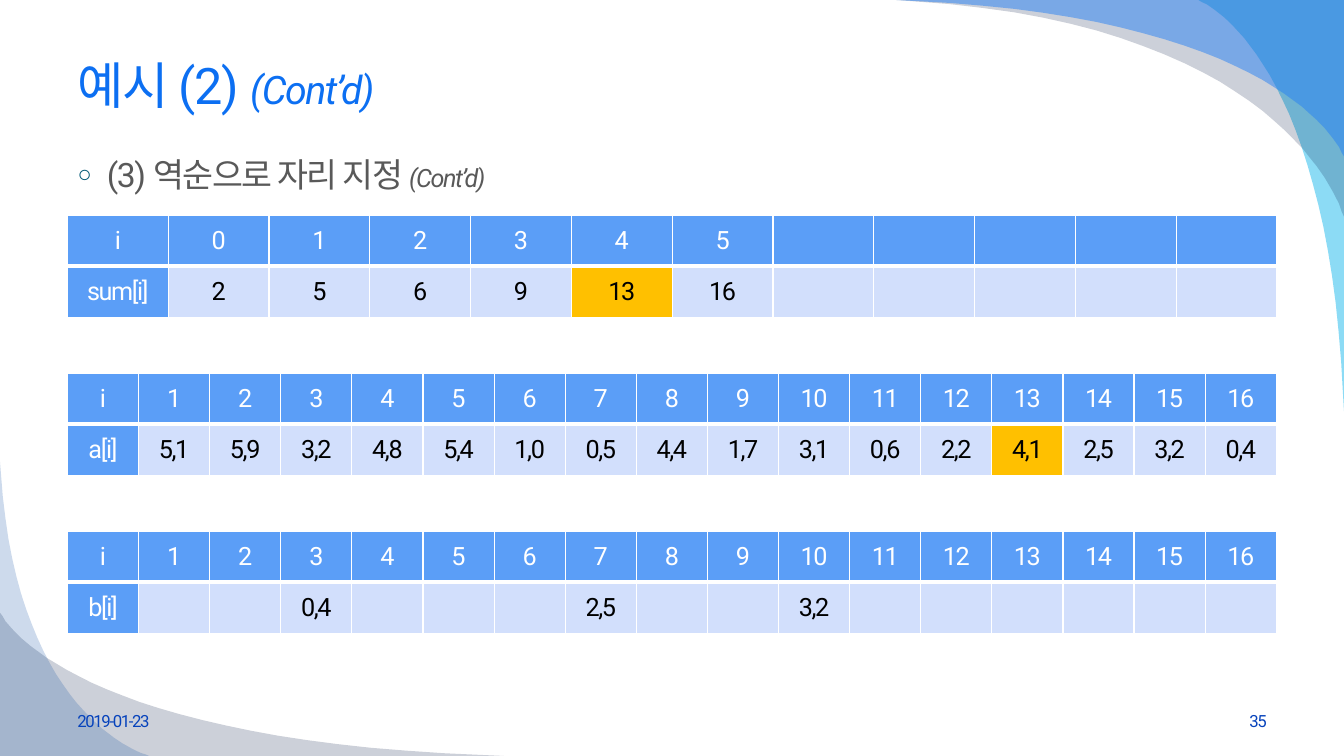
from dataclasses import dataclass

from lxml import etree
from pptx import Presentation
from pptx.dml.color import RGBColor
from pptx.enum.text import MSO_ANCHOR, MSO_AUTO_SIZE, PP_ALIGN
from pptx.oxml.ns import qn
from pptx.util import Cm, Pt

LEFT, CENTER, RIGHT = PP_ALIGN.LEFT, PP_ALIGN.CENTER, PP_ALIGN.RIGHT
TOP, MIDDLE = MSO_ANCHOR.TOP, MSO_ANCHOR.MIDDLE
NO_AUTOFIT = MSO_AUTO_SIZE.NONE
FONT = "Roboto"
COLORS = {
    "title": "0C6FF2", "body": "595959", "bullet": "005876", "footer": "0743BC",
    "white": "FFFFFF", "black": "000000",
    "header": "5B9EF7", "cell": "D2DFFC", "highlight": "FFC000",
    "cyan": "00B1E9", "navy": "021741", "blue": "247FF4", "royal": "084AA1",
}
# Swoosh edge: percent along and percent across its bounding box
EDGE = [
    (0, 0), (11.9, 1.9), (19.4, 3.7), (26.4, 5.7), (32.9, 8.2), (39, 11),
    (44.8, 14.1), (50.2, 17.6), (55.2, 21.3), (59.9, 25.1), (64.4, 29.2),
    (68.5, 33.4), (72.3, 37.7), (75.7, 42.2), (78.8, 46.5), (81.8, 51.1),
    (84.2, 55.4), (86.7, 60), (88.7, 64.2), (90.7, 68.4), (92.3, 72.6),
    (93.9, 76.7), (95.7, 82), (97.5, 88.4), (98.9, 94), (99.5, 97.7), (100, 100),
]


@dataclass
class Swoosh:
    start: tuple[float, float]
    end: tuple[float, float]
    color: str
    opacity: int
    upright: bool = False


@dataclass
class ArrayTable:
    name: str
    indexes: range
    values: dict[int, str]
    columns: int
    highlight: int | None = None


SWOOSHES = [
    Swoosh((33.87, 10.36), (30.2, 0), "cyan", 45, upright=True),
    Swoosh((22.58, 0), (33.87, 5.46), "navy", 20),
    Swoosh((22.58, 0), (33.87, 3.94), "blue", 49),
    Swoosh((12.7, 19.05), (0, 15.44), "navy", 20),
    Swoosh((0, 11.63), (3.76, 19.05), "royal", 20, upright=True),
]
A_VALUES = ("5,1 5,9 3,2 4,8 5,4 1,0 0,5 4,4 "
            "1,7 3,1 0,6 2,2 4,1 2,5 3,2 0,4").split()
TABLES = [
    ArrayTable("sum[i]", range(6), dict(enumerate("2 5 6 9 13 16".split())), 12, 4),
    ArrayTable("a[i]", range(1, 17), dict(enumerate(A_VALUES, 1)), 17, 13),
    ArrayTable("b[i]", range(1, 17), {3: "0,4", 7: "2,5", 10: "3,2"}, 17),
]
TABLE_LEFT, TABLE_TOP, TABLE_STEP = 1.7, 5.42, 3.98
TABLE_WIDTH, ROW_HEIGHT = 30.48, 1.29


def rgb(color: str) -> RGBColor:
    return RGBColor.from_string(COLORS[color])


def add_span(para, text: str, *, size: float, color: str, italic: bool = False) -> None:
    span = para.add_run()
    span.text = text
    span.font.name = FONT
    span.font.size = Pt(size)
    span.font.bold = False
    span.font.italic = italic
    span.font.color.rgb = rgb(color)
    span.font._element.set("spc", "-100")


def place(box, left: float, top: float, width: float, height: float,
          *, anchor=MIDDLE, align=LEFT):
    """Position a text shape and return its first paragraph."""
    box.left, box.top, box.width, box.height = map(Cm, (left, top, width, height))
    frame = box.text_frame
    frame.word_wrap = True
    frame.auto_size = NO_AUTOFIT
    frame.vertical_anchor = anchor
    para = frame.paragraphs[0]
    para.alignment = align
    para.space_before = Pt(0)
    return para


def add_bullet(para, mark: str, color: str, percent: int) -> None:
    properties = para._p.get_or_add_pPr()
    properties.set("marL", str(Cm(0.74)))
    properties.set("indent", str(-Cm(0.74)))
    tint = etree.SubElement(properties, qn("a:buClr"))
    etree.SubElement(tint, qn("a:srgbClr"), val=COLORS[color])
    etree.SubElement(properties, qn("a:buSzPct"), val=str(percent * 1000))
    etree.SubElement(properties, qn("a:buChar"), char=mark)


def draw_swoosh(page, swoosh: Swoosh, layer: int) -> None:
    (x0, y0), (x1, y1) = swoosh.start, swoosh.end
    points = []
    for along, across in EDGE:
        u, v = (across, along) if swoosh.upright else (along, across)
        points.append((Cm(x0 + (x1 - x0) * u / 100), Cm(y0 + (y1 - y0) * v / 100)))
    corner = (x0, y1) if swoosh.upright else (x1, y0)
    points.append((Cm(corner[0]), Cm(corner[1])))
    builder = page.shapes.build_freeform(*points[0])
    builder.add_line_segments(points[1:], close=True)
    shape = builder.convert_to_shape()
    shape.shadow.inherit = False
    shape.line.fill.background()
    shape.fill.solid()
    shape.fill.fore_color.rgb = rgb(swoosh.color)
    tint = shape.element.spPr.find(qn("a:solidFill")).find(qn("a:srgbClr"))
    etree.SubElement(tint, qn("a:alpha"), val=str(swoosh.opacity * 1000))
    # Keep the decoration behind the placeholders
    shape.element.getparent().insert(2 + layer, shape.element)


def format_cell(cell, text: str, *, fill: str, color: str, top: float, bottom: float) -> None:
    properties = cell._tc.get_or_add_tcPr()
    for side, width in (("L", 1), ("R", 1), ("T", top), ("B", bottom)):
        border = etree.SubElement(properties, qn(f"a:ln{side}"), w=str(Pt(width)))
        paint = etree.SubElement(border, qn("a:solidFill"))
        etree.SubElement(paint, qn("a:srgbClr"), val=COLORS["white"])
    cell.fill.solid()
    cell.fill.fore_color.rgb = rgb(fill)
    cell.vertical_anchor = MIDDLE
    para = cell.text_frame.paragraphs[0]
    para.alignment = CENTER
    if text:
        add_span(para, text, size=18, color=color)


def draw_table(page, array: ArrayTable, top: float) -> None:
    frame = page.shapes.add_table(2, array.columns, Cm(TABLE_LEFT), Cm(top),
                                  Cm(TABLE_WIDTH), Cm(2 * ROW_HEIGHT))
    table = frame.table
    table.first_col = True
    table.horz_banding = False
    for row in table.rows:
        row.height = Cm(ROW_HEIGHT)
    for number, column in enumerate(table.columns):
        column.width = Cm(TABLE_WIDTH / array.columns)
        index = array.indexes.start + number - 1
        if number == 0:
            label, value, fill, color = "i", array.name, "header", "white"
        else:
            label = str(index) if index in array.indexes else ""
            value = array.values.get(index, "")
            fill = "highlight" if index == array.highlight else "cell"
            color = "black"
        format_cell(table.cell(0, number), label, fill="header", color="white",
                    top=1, bottom=3)
        format_cell(table.cell(1, number), value, fill=fill, color=color,
                    top=3, bottom=1)


def main() -> None:
    deck = Presentation()
    deck.slide_width, deck.slide_height = Cm(33.87), Cm(19.05)
    page = deck.slides.add_slide(deck.slide_layouts[1])

    # Background swooshes
    for layer, swoosh in enumerate(SWOOSHES):
        draw_swoosh(page, swoosh, layer)

    # Title
    para = place(page.shapes.title, 1.7, 0.84, 30.48, 2.57)
    add_span(para, "예시 (2) ", size=36, color="title")
    add_span(para, "(Cont’d)", size=28, color="title", italic=True)

    # Body
    para = place(page.placeholders[1], 1.7, 3.76, 30.48, 13.26, anchor=TOP)
    add_bullet(para, "○", "bullet", 70)
    add_span(para, "(3) 역순으로 자리 지정 ", size=24, color="body")
    add_span(para, "(Cont’d)", size=18, color="body", italic=True)

    # Date and page number
    for text, left, align in (("2019-01-23", 1.7, LEFT), ("35", 24.28, RIGHT)):
        box = page.shapes.add_textbox(0, 0, 0, 0)
        para = place(box, left, 17.65, 7.9, 1.02, align=align)
        add_span(para, text, size=12, color="footer")

    # Arrays
    for number, array in enumerate(TABLES):
        draw_table(page, array, TABLE_TOP + number * TABLE_STEP)

    deck.save("out.pptx")


if __name__ == "__main__":
    main()
